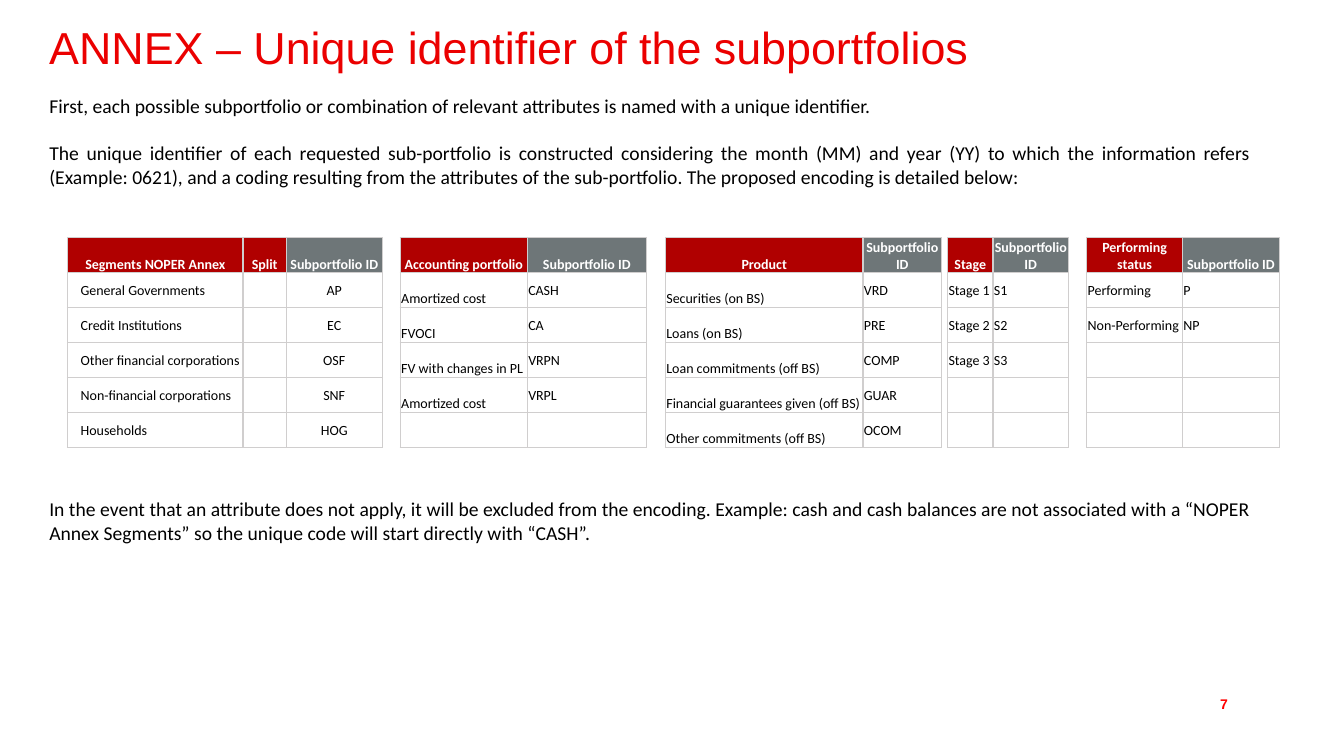
"""Build the annex slide on subportfolio identifiers."""
from lxml.etree import SubElement
from pptx import Presentation
from pptx.dml.color import RGBColor
from pptx.enum.text import MSO_ANCHOR, PP_ALIGN
from pptx.oxml.ns import qn
from pptx.util import Inches, Pt

RED, GREY, WHITE, BLACK, BORDER = "B00000", "6E7678", "FFFFFF", "000000", "D0CECE"
LEFT, CENTER, JUSTIFY = PP_ALIGN.LEFT, PP_ALIGN.CENTER, PP_ALIGN.JUSTIFY
TOP, MIDDLE, BOTTOM = MSO_ANCHOR.TOP, MSO_ANCHOR.MIDDLE, MSO_ANCHOR.BOTTOM

TITLE = "ANNEX – Unique identifier of the subportfolios"
INTRODUCTION = [
    "First, each possible subportfolio or combination of relevant attributes is named with a unique identifier.",
    "The unique identifier of each requested sub-portfolio is constructed considering the month (MM) and year (YY) "
    "to which the information refers (Example: 0621), and a coding resulting from the attributes of the "
    "sub-portfolio. The proposed encoding is detailed below:",
]
CLOSING = [
    "In the event that an attribute does not apply, it will be excluded from the encoding. Example: cash and cash "
    "balances are not associated with a “NOPER Annex Segments” so the unique code will start directly with “CASH”."
]
PAGE_NUMBER = "7"

ID = "Subportfolio ID"
GAP = None
INDENTED = {"indent": 0.13}
CENTERED = {"align": CENTER}
LOW = {"anchor": BOTTOM}
COLUMNS = [
    (1.74, "Segments NOPER Annex", INDENTED, ["General Governments", "Credit Institutions",
     "Other financial corporations", "Non-financial corporations", "Households"]),
    (0.43, "Split", {}, []),
    (0.95, ID, CENTERED, ["AP", "EC", "OSF", "SNF", "HOG"]),
    (0.18, GAP, {}, []),
    (1.26, "Accounting portfolio", LOW, ["Amortized cost", "FVOCI", "FV with changes in PL", "Amortized cost"]),
    (1.18, ID, {}, ["CASH", "CA", "VRPN", "VRPL"]),
    (0.19, GAP, {}, []),
    (1.96, "Product", LOW, ["Securities (on BS)", "Loans (on BS)", "Loan commitments (off BS)",
     "Financial guarantees given (off BS)", "Other commitments (off BS)"]),
    (0.78, ID, {}, ["VRD", "PRE", "COMP", "GUAR", "OCOM"]),
    (0.05, GAP, {}, []),
    (0.45, "Stage", {}, ["Stage 1", "Stage 2", "Stage 3"]),
    (0.75, ID, {}, ["S1", "S2", "S3"]),
    (0.18, GAP, {}, []),
    (0.95, "Performing status", {}, ["Performing", "Non-Performing"]),
    (0.96, ID, {}, ["P", "NP"]),
]
ROWS = 6
TABLE_LEFT, TABLE_TOP, TABLE_HEIGHT = 0.67, 2.36, 2.08


def color(value):
    return RGBColor.from_string(value)


def write(paragraph, text, size=10, font="Calibri", fill=BLACK, bold=False, align=LEFT, before=0):
    paragraph.alignment = align
    if before:
        paragraph.space_before = Pt(before)
    run = paragraph.add_run()
    run.text = text
    run.font.size = Pt(size)
    run.font.name = font
    run.font.bold = bold
    run.font.color.rgb = color(fill)


def add_text(slide, box, texts, anchor=MIDDLE, gap=0, **style):
    frame = slide.shapes.add_textbox(*map(Inches, box)).text_frame
    frame.word_wrap = True
    frame.vertical_anchor = anchor
    if anchor == TOP:
        frame.margin_top = 0
    for index, text in enumerate(texts):
        paragraph = frame.add_paragraph() if index else frame.paragraphs[0]
        write(paragraph, text, before=gap if index else 0, **style)


def set_borders(cell, visible):
    properties = cell._tc.get_or_add_tcPr()
    for side in "LRTB":
        line = SubElement(properties, qn(f"a:ln{side}"), w=str(Pt(1)))
        if side in visible:
            SubElement(SubElement(line, qn("a:solidFill")), qn("a:srgbClr"), val=BORDER)
        else:
            SubElement(line, qn("a:noFill"))


def fill_cell(cell, text, background=WHITE, borders="LRTB", anchor=MIDDLE, indent=0.01, **style):
    set_borders(cell, borders)
    cell.fill.solid()
    cell.fill.fore_color.rgb = color(background)
    cell.vertical_anchor = anchor
    cell.margin_left = Inches(indent)
    cell.margin_right = cell.margin_top = Inches(0.01)
    cell.margin_bottom = 0
    if text:
        write(cell.text_frame.paragraphs[0], text, **style)


def add_encoding_table(slide):
    width = sum(column[0] for column in COLUMNS)
    box = map(Inches, (TABLE_LEFT, TABLE_TOP, width, TABLE_HEIGHT))
    table = slide.shapes.add_table(ROWS, len(COLUMNS), *box).table
    for row in table.rows:
        row.height = Inches(TABLE_HEIGHT / ROWS)
    for index, (width, header, style, values) in enumerate(COLUMNS):
        table.columns[index].width = Inches(width)
        borders = "LR" if header is GAP else "LRTB"
        background = WHITE if header is GAP else GREY if header == ID else RED
        fill_cell(table.cell(0, index), header, background, borders,
                  anchor=BOTTOM, fill=WHITE, bold=True, align=CENTER)
        for row in range(1, ROWS):
            text = values[row - 1] if row <= len(values) else ""
            fill_cell(table.cell(row, index), text, borders=borders, **style)


def main():
    presentation = Presentation()
    presentation.slide_width, presentation.slide_height = Inches(13.33), Inches(7.5)
    slide = presentation.slides.add_slide(presentation.slide_layouts[6])
    add_text(slide, (11.86, 6.85, 0.56, 0.27), [PAGE_NUMBER],
             font="Arial", fill="FF0000", bold=True, align=CENTER)
    add_text(slide, (0.39, 0.2, 12.56, 0.75), [TITLE], anchor=TOP, size=32, font="Arial", fill="EB0000")
    add_text(slide, (0.39, 0.88, 12.12, 1.04), INTRODUCTION, gap=17, size=14, align=JUSTIFY)
    add_text(slide, (0.39, 4.88, 12.12, 0.57), CLOSING, size=14, align=JUSTIFY)
    add_encoding_table(slide)
    presentation.save("out.pptx")


if __name__ == "__main__":
    main()
